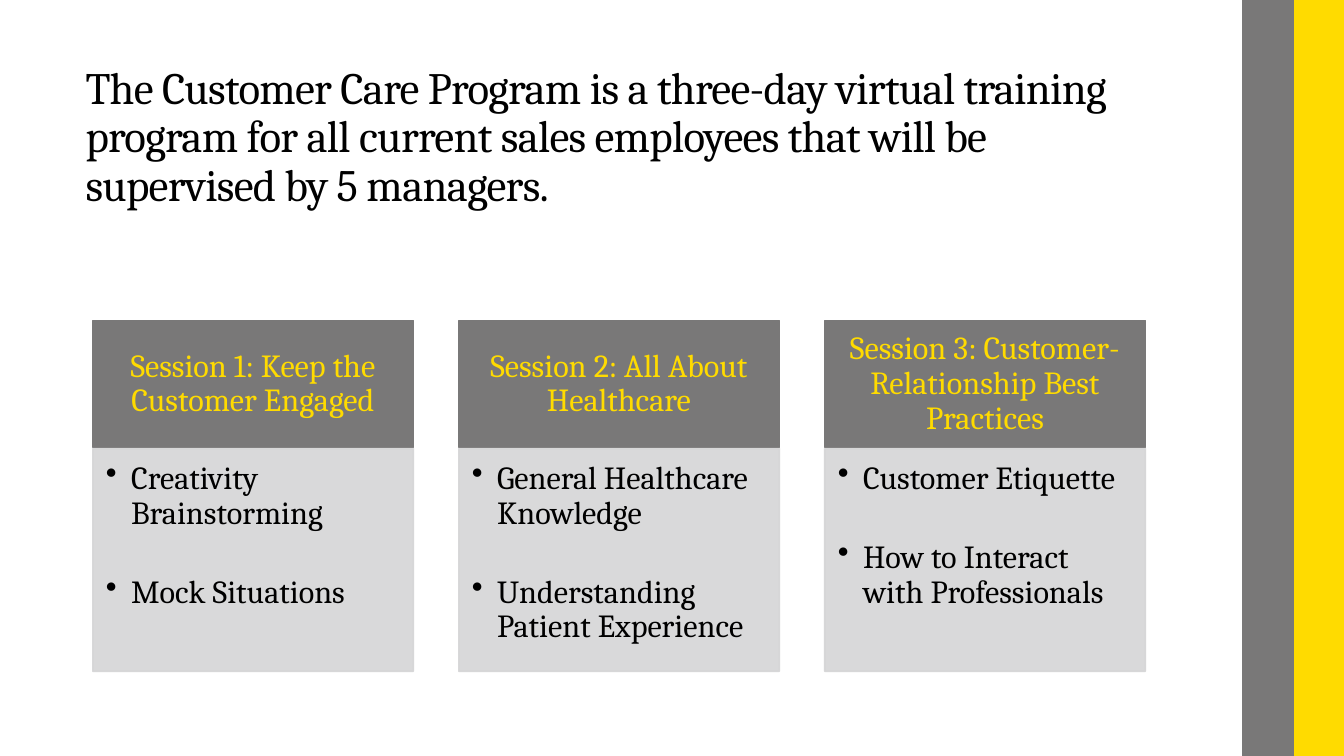
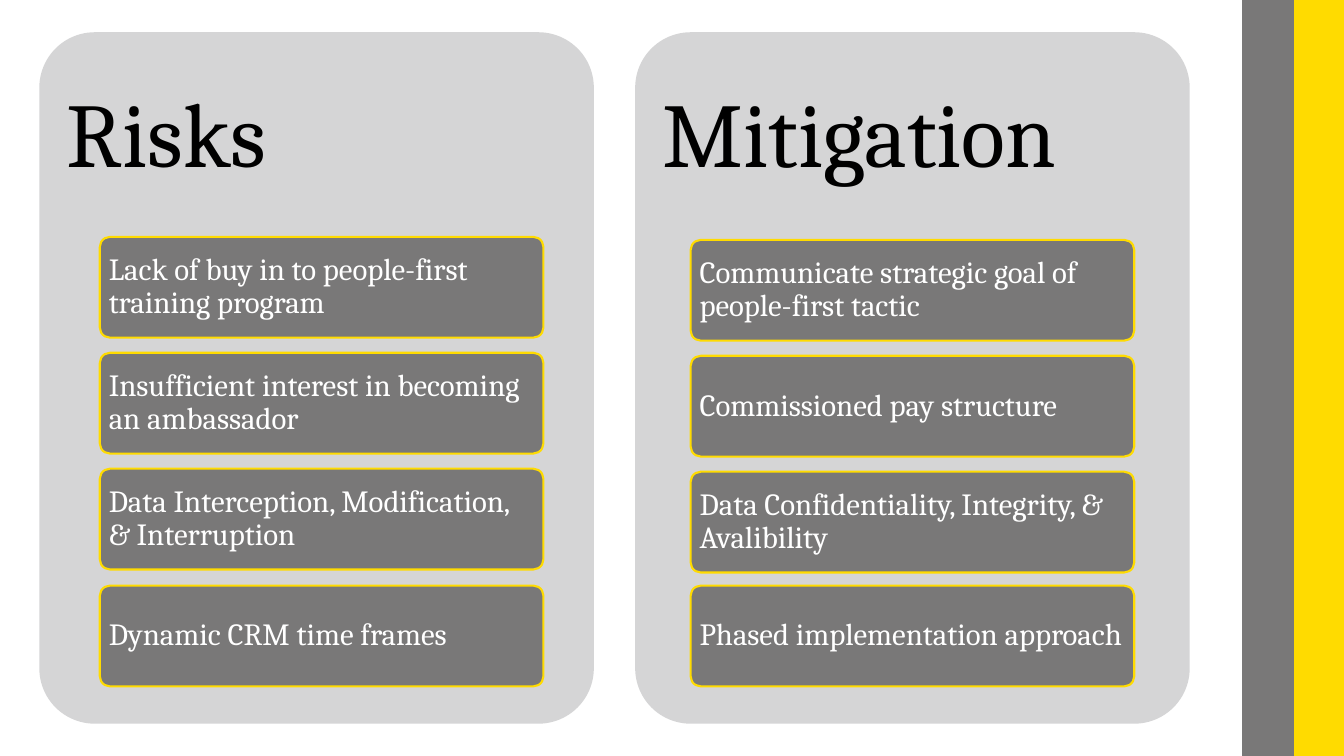
import pptx
import pptx.util
import pptx.dml.color
import pptx.enum.shapes
import pptx.enum.text
import pptx.oxml.ns
import lxml.etree

PX = 9144  # EMU in one px, 100 px to the inch
FONT = "Cambria"
HUES = {
    "gray": "797878",
    "gold": "FFDB00",
    "pale": "D5D5D6",
    "black": "000000",
    "white": "FFFFFF",
}
RECT = pptx.enum.shapes.MSO_SHAPE.RECTANGLE
ROUND = pptx.enum.shapes.MSO_SHAPE.ROUNDED_RECTANGLE
TOP = pptx.enum.text.MSO_ANCHOR.TOP
MID = pptx.enum.text.MSO_ANCHOR.MIDDLE
LOW = pptx.enum.text.MSO_ANCHOR.BOTTOM
LEFT = pptx.enum.text.PP_ALIGN.LEFT
MIDST = pptx.enum.text.PP_ALIGN.CENTER
qn = pptx.oxml.ns.qn


def draw(slide, kind, area, fill, line=None, width=1.1):
    """Add a filled shape at area (left, top, width, height in px)."""
    shape = slide.shapes.add_shape(kind, *[n * PX for n in area])
    shape.shadow.inherit = False
    shape.fill.solid()
    shape.fill.fore_color.rgb = pptx.dml.color.RGBColor.from_string(HUES[fill])
    if line:
        shape.line.color.rgb = pptx.dml.color.RGBColor.from_string(HUES[line])
        shape.line.width = pptx.util.Pt(width)
    else:
        shape.line.fill.background()
    if kind == ROUND:
        shape.adjustments[0] = 0.1
    return shape


def write(shape, lines, size, hue, pads, anchor=MID, align=LEFT, pitch=0.9):
    """Fill a shape with paragraphs; pads are left, top, right, bottom in px."""
    frame = shape.text_frame
    frame.word_wrap = True
    frame.vertical_anchor = anchor
    (frame.margin_left, frame.margin_top,
     frame.margin_right, frame.margin_bottom) = [n * PX for n in pads]
    frame.text = "\n".join(lines)
    for para in frame.paragraphs:
        para.alignment = align
        para.line_spacing = pitch
        para.font.name = FONT
        para.font.size = pptx.util.Pt(size)
        para.font.color.rgb = pptx.dml.color.RGBColor.from_string(HUES[hue])
    return frame.paragraphs


deck = pptx.Presentation()
deck.slide_width = 1333 * PX
deck.slide_height = 750 * PX
blank = deck.slide_layouts[6]
plan, risk = [deck.slides.add_slide(blank) for _ in range(2)]

# Side bands on every slide
for slide in (plan, risk):
    for left, hue in ((1283, "gold"), (1233, "gray")):
        draw(slide, RECT, (left, 0, 50, 750), hue, hue)

# Slide 1: the three sessions
title = plan.shapes.add_textbox(*[n * PX for n in (75, 52, 1060, 162)])
text = ("The Customer Care Program is a three-day virtual training program "
        "for all current sales employees that will be supervised by "
        "5 managers.")
head = write(title, [text], 32, "black", (10, 5, 10, 5), LOW)[0]
head.runs[0].font._element.set("spc", "-50")

sessions = [
    ("Session 1: Keep the Customer Engaged",
     ["Creativity Brainstorming", "Mock Situations"]),
    ("Session 2: All About Healthcare",
     ["General Healthcare Knowledge", "Understanding Patient Experience"]),
    ("Session 3: Customer-Relationship Best Practices",
     ["Customer Etiquette", "How to Interact with Professionals"]),
]
for col, (name, topics) in enumerate(sessions):
    left = 92 + 363 * col
    band = draw(plan, RECT, (left, 318, 318, 126), "gray", "gray")
    write(band, [name], 23, "gold", (18, 10, 18, 10), MID, MIDST)

    body = draw(plan, RECT, (left, 445, 318, 221), "pale", "pale")
    for tint in body._element.spPr.iter(qn("a:srgbClr")):
        lxml.etree.SubElement(tint, qn("a:alpha"), val="90000")
    items = write(body, topics, 23, "black", (13, 13, 18, 20), TOP)
    items[0].space_after = pptx.util.Pt(31.5)
    for item in items:
        props = item._p.get_or_add_pPr()
        props.set("marL", str(25 * PX))
        props.set("indent", str(-25 * PX))
        dot = lxml.etree.Element(qn("a:buChar"), char="•")
        props.find(qn("a:defRPr")).addprevious(dot)

# Slide 2: risks beside their mitigation
panels = [
    ("Risks", 39, 99, (235, 350, 465, 581),
     ["Lack of buy in to people-first training program",
      "Insufficient interest in becoming an ambassador",
      "Data Interception, Modification, & Interruption",
      "Dynamic CRM time frames"]),
    ("Mitigation", 630, 685, (238, 353, 468, 581),
     ["Communicate strategic goal of people-first tactic",
      "Commissioned pay structure",
      "Data Confidentiality, Integrity, & Avalibility",
      "Phased implementation approach"]),
]
for name, left, inner, tops, cards in panels:
    draw(risk, ROUND, (left, 32, 550, 686), "pale")
    label = risk.shapes.add_textbox(*[n * PX for n in (left, 32, 550, 206)])
    write(label, [name], 65, "black", (27, 27, 27, 27), pitch=0.95)
    for top, words in zip(tops, cards):
        card = draw(risk, ROUND, (inner, top, 440, 100), "gray", "gold", 1.5)
        write(card, [words], 22, "white", (6, 5, 6, 5))

deck.save("out.pptx")
